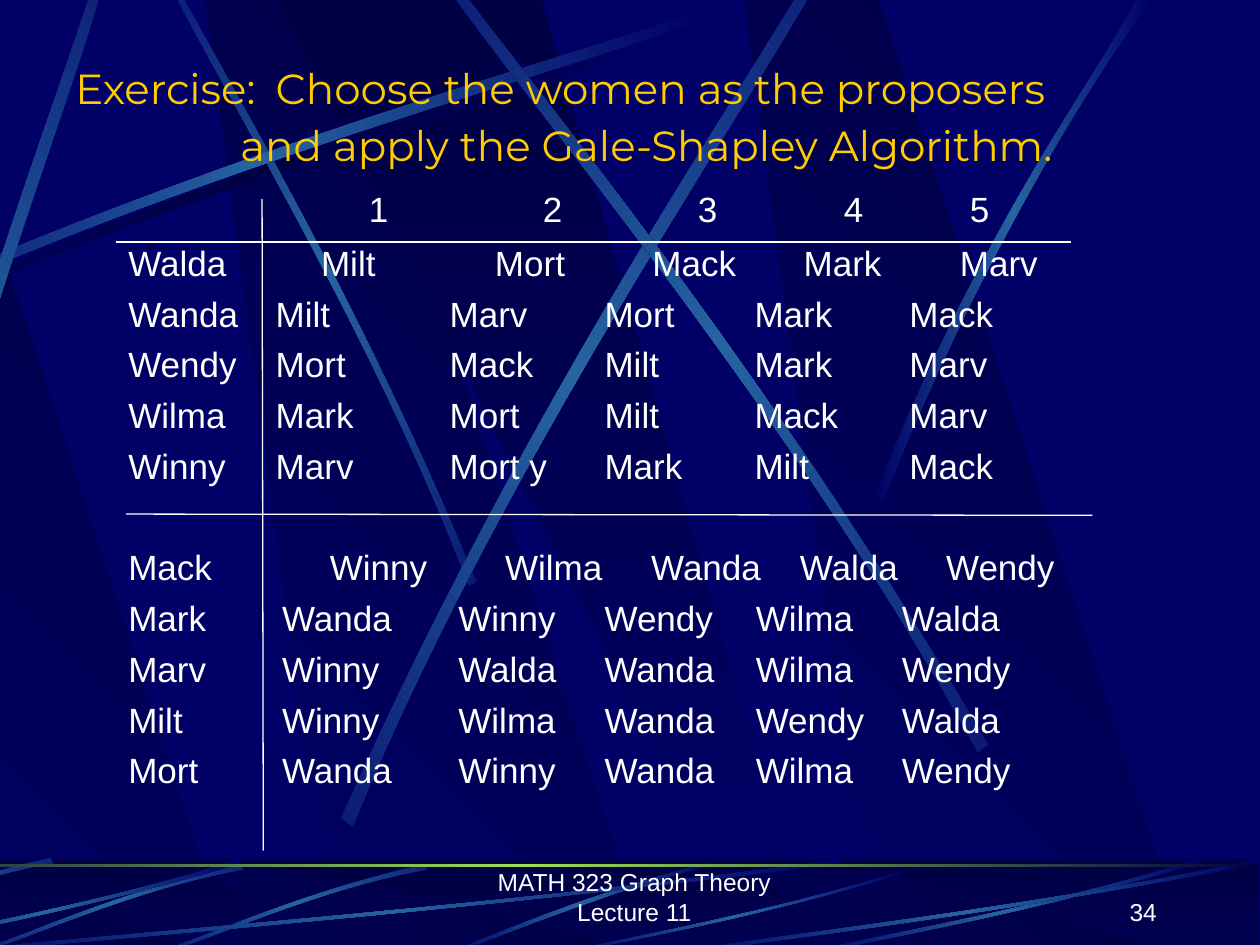
"""Build the Gale-Shapley exercise slide with its preference lists."""
from copy import deepcopy
from math import cos, radians, sin

from lxml.etree import SubElement
from pptx import Presentation
from pptx.dml.color import RGBColor
from pptx.enum.shapes import MSO_CONNECTOR, MSO_SHAPE
from pptx.enum.text import MSO_ANCHOR as ANCHOR, PP_ALIGN as ALIGN
from pptx.oxml.ns import qn
from pptx.util import Inches, Pt

NAVY = RGBColor(0x00, 0x00, 0x66)
DARK = RGBColor(0x00, 0x00, 0x44)
BEAM = RGBColor(0x26, 0x63, 0xA0)
LIME = RGBColor(0x9C, 0xE1, 0x57)
GOLD = RGBColor(0xFF, 0xCC, 0x00)
WHITE = RGBColor(0xFF, 0xFF, 0xFF)
GLOW = (NAVY, BEAM, NAVY)
SHADE = (NAVY, DARK, NAVY)

WEDGE = (1.63, 2.63, 5.15, 2.69)
WEDGES = [([x + shift for x in WEDGE], (NAVY, DARK), 315) for shift in (0, -3.32, 4.28)]
WEDGES.append(((2.21, 6, 6.43, 4.3), (DARK, NAVY), 90))

LONG = [(-1.45, 2.75), (1.63, 1.33), (4.43, 0.58), (5.63, 0.17),
        (5.66, 0.23), (4.48, 0.68), (1.28, 1.5), (-1.42, 2.85)]
UPPER_STREAKS = [
    (LONG, SHADE, 0),
    ([(3.78, 4.62), (2.86, 2.38), (1.77, 0.59), (1.35, -0.21),
      (1.31, -0.2), (1.7, 0.61), (2.96, 2.64), (3.72, 4.65)], GLOW, 45),
    ([(x - 0.07, y - 0.08) for x, y in LONG], GLOW, 0),
    ([(-1.1, 6.39), (-0.56, 3.32), (0.41, 0.95), (0.74, -0.13),
      (0.81, -0.11), (0.52, 0.99), (-0.61, 3.68), (-1, 6.45)], GLOW, 312),
    ([(2.71, 6.49), (4.15, 3.25), (5.85, 0.79), (6.51, -0.34),
      (6.58, -0.31), (5.96, 0.84), (4, 3.63), (2.8, 6.56)], GLOW, 321),
    ([(7.84, 5.91), (6.13, 2.97), (4.27, 0.75), (3.52, -0.27),
      (3.46, -0.23), (4.17, 0.81), (6.32, 3.32), (7.76, 5.97)], GLOW, 35),
    ([(6.94, 3.94), (7.82, 1.73), (8.69, 0.65), (9.02, -0.01),
      (9.14, -0.01), (8.08, 1.45), (7.3, 3.22), (7.01, 3.98)], GLOW, 0),
]
SHORT = [(3.37, 6.86), (2.44, 7.07), (1.74, 7.39), (1.41, 7.5),
         (1.42, 7.52), (1.75, 7.42), (2.55, 7.05), (3.39, 6.9)]
SWEEP = [(1.92, 6.85), (0.57, 7.25), (-0.66, 7.46), (-1.19, 7.58),
         (-1.2, 7.56), (-0.68, 7.43), (0.72, 7.2), (1.9, 6.82)]
LOWER_STREAKS = [
    ([(5.64, 6.84), (4.58, 7.12), (3.89, 7.44), (3.55, 7.56),
      (3.6, 7.57), (4.03, 7.4), (4.99, 7.02), (5.65, 6.87)], GLOW, 0),
    *[([(x - dx, y - dy) for x, y in SHORT], GLOW, 315)
      for dx, dy in ((0, 0), (1.46, 0), (2.97, 0.05))],
    ([(6.69, 6.85), (3.56, 7.25), (0.72, 7.46), (-0.49, 7.58),
      (-0.52, 7.56), (0.67, 7.43), (3.92, 7.2), (6.66, 6.82)], GLOW, 0),
    (SWEEP, GLOW, 0),
    ([(7.17, 6.93), (6, 7.29), (4.94, 7.47), (4.49, 7.57),
      (4.47, 7.56), (4.92, 7.45), (6.14, 7.24), (7.16, 6.91)], GLOW, 0),
    ([(x + 7.6, y) for x, y in SWEEP], GLOW, 0),
    ([(x * 1.5 + 7.13, y) for x, y in SWEEP], GLOW, 0),
]

prs = Presentation()
prs.slide_width, prs.slide_height = Inches(10), Inches(7.5)
slide = prs.slides.add_slide(prs.slide_layouts[6])
slide.background.fill.solid()
slide.background.fill.fore_color.rgb = NAVY
shapes = slide.shapes


def paint(shape, colors, angle):
    shape.shadow.inherit = False
    shape.line.fill.background()
    shape.fill.gradient()
    shape.fill.gradient_angle = (360 - angle) % 360
    stop_list = shape._element.spPr.find(qn("a:gradFill")).find(qn("a:gsLst"))
    for _ in colors[2:]:
        stop_list.append(deepcopy(stop_list[0]))
    for i, (stop, color) in enumerate(zip(shape.fill.gradient_stops, colors)):
        stop.color.rgb = color
        stop.position = i / (len(colors) - 1)


def outline(points, colors, angle):
    corners = [(Inches(x), Inches(y)) for x, y in points]
    builder = shapes.build_freeform(*corners[0])
    builder.add_line_segments(corners[1:], close=True)
    shape = builder.convert_to_shape()
    paint(shape, colors, angle)
    return shape


for top, bottom, streaks in ((0, 7.54, UPPER_STREAKS), (6.91, 7.57, LOWER_STREAKS)):
    band_box = [Inches(v) for v in (-1.69, 6.82, 11.68, 0.75)]
    if streaks is LOWER_STREAKS:
        paint(shapes.add_shape(MSO_SHAPE.RECTANGLE, *band_box), (DARK, NAVY), 90)
    for xs, colors, angle in WEDGES:
        outline(list(zip(xs, (top, bottom, bottom, top))), colors, angle)
    if streaks is LOWER_STREAKS:
        veil = shapes.add_shape(MSO_SHAPE.RECTANGLE, *band_box)
        veil.shadow.inherit = False
        veil.line.fill.background()
        veil.fill.solid()
        veil.fill.fore_color.rgb = DARK
        tint = veil._element.spPr.find(qn("a:solidFill"))[0]
        SubElement(tint, qn("a:alpha"), val="50000")
    for controls, colors, turn in streaks:
        c, s = cos(radians(turn)), sin(radians(turn))
        streak = outline([(x * c + y * s, y * c - x * s) for x, y in controls], colors, 0)
        mid_x, mid_y = streak.left + streak.width / 2, streak.top + streak.height / 2
        streak.left = round(mid_x * c - mid_y * s - streak.width / 2)
        streak.top = round(mid_x * s + mid_y * c - streak.height / 2)
        streak.rotation = turn
        edges = list(streak._element.iter(qn("a:lnTo")))
        for bend in (edges[:3], edges[4:]):
            bend[0].tag = qn("a:cubicBezTo")
            for edge in bend[1:]:
                bend[0].append(edge[0])
                edge.getparent().remove(edge)

horizon = shapes.add_shape(MSO_SHAPE.RECTANGLE, Inches(-1.69), Inches(6.86),
                           Inches(11.68), Inches(0.02))
paint(horizon, (DARK, LIME, DARK), 0)

HEADER_TABS = (1.91, 3.29, 4.52, 5.68, 6.68)
UPPER_TABS = (1.17, 2.55, 3.78, 4.97, 6.2)
LOWER_TABS = (1.22, 2.62, 3.78, 4.98, 6.14)
LEAD_TABS = {"Walda": (1.53, 2.91, 4.16, 5.36, 6.6), "Mack": (1.6, 2.99, 4.15, 5.33, 6.49)}
PREFERENCES = [
    ("Walda", "Milt Mort Mack Mark Marv"),
    ("Wanda", "Milt Marv Mort Mark Mack"),
    ("Wendy", "Mort Mack Milt Mark Marv"),
    ("Wilma", "Mark Mort Milt Mack Marv"),
    ("Winny", "Marv Mort_y Mark Milt Mack"),
    ("Mack", "Winny Wilma Wanda Walda Wendy"),
    ("Mark", "Wanda Winny Wendy Wilma Walda"),
    ("Marv", "Winny Walda Wanda Wilma Wendy"),
    ("Milt", "Winny Wilma Wanda Wendy Walda"),
    ("Mort", "Wanda Winny Wanda Wilma Wendy"),
]
rankings = [([("\t", 28), ("1\t2\t3\t4\t5", 20)], HEADER_TABS, 0, 0)]
for row, (person, choices) in enumerate(PREFERENCES):
    tabs = LEAD_TABS.get(person, UPPER_TABS if row < 5 else LOWER_TABS)
    line = "\t".join([person, *choices.split()]).replace("_", " ")
    rankings.append(([(line, 20)], tabs, 34 if row == 5 else 5, 0))

TEXTS = [
    ((3.45, 6.9, 3.17, 0.5), ANCHOR.BOTTOM, 0.1, 0.05, 0.05, ALIGN.CENTER, "Arial", WHITE,
     [([("MATH 323 Graph Theory\vLecture 11", 14)], (), 0, 0)]),
    ((7.2, 6.9, 2.08, 0.5), ANCHOR.BOTTOM, 0.1, 0.05, 0.05, ALIGN.RIGHT, "Arial", WHITE,
     [([("34", 14)], (), 0, 0)]),
    ((0.5, 0.17, 8.83, 1.23), ANCHOR.MIDDLE, 0.1, 0.28, 0, ALIGN.LEFT, "Montserrat", GOLD,
     [([("Exercise:\tChoose the women as the proposers", 24)], (1.59,), 0, 0),
      ([("and apply the Gale-Shapley Algorithm.", 24)], (), 3.6, 1.31)]),
    ((0.92, 1.33, 8.5, 5.33), ANCHOR.TOP, 0.1, 0.05, 0.05, ALIGN.LEFT, "Arial", WHITE, rankings),
]
for box, anchor, side, above, below, align, face, color, lines in TEXTS:
    frame = shapes.add_textbox(*[Inches(v) for v in box]).text_frame
    layout = {"word_wrap": True, "vertical_anchor": anchor,
              "margin_left": Inches(side), "margin_right": Inches(side),
              "margin_top": Inches(above), "margin_bottom": Inches(below)}
    for key, value in layout.items():
        setattr(frame, key, value)
    for i, (pieces, tabs, before, indent) in enumerate(lines):
        para = frame.add_paragraph() if i else frame.paragraphs[0]
        props = para._p.get_or_add_pPr()
        props.set("marL", str(Inches(indent)))
        if tabs:
            tab_list = SubElement(props, qn("a:tabLst"))
            for tab in tabs:
                SubElement(tab_list, qn("a:tab"), pos=str(Inches(tab)), algn="l")
        para.alignment = align
        if before:
            para.space_before = Pt(before)
        for words, size in pieces:
            for part, chunk in enumerate(words.split("\v")):
                if part:
                    para.add_line_break()
                run = para.add_run()
                run.text = chunk
                for key, value in {"name": face, "size": Pt(size)}.items():
                    setattr(run.font, key, value)
                run.font.color.rgb = color

for ends in ((0.92, 1.92, 8.5, 1.92), (2.08, 1.58, 2.09, 6.75), (1, 4.08, 8.67, 4.09)):
    rule = shapes.add_connector(MSO_CONNECTOR.STRAIGHT, *[Inches(v) for v in ends])
    rule.line.color.rgb = WHITE
    rule.line.width = Pt(0.75)
    SubElement(rule._element.spPr, qn("a:effectLst"))

prs.save("out.pptx")
